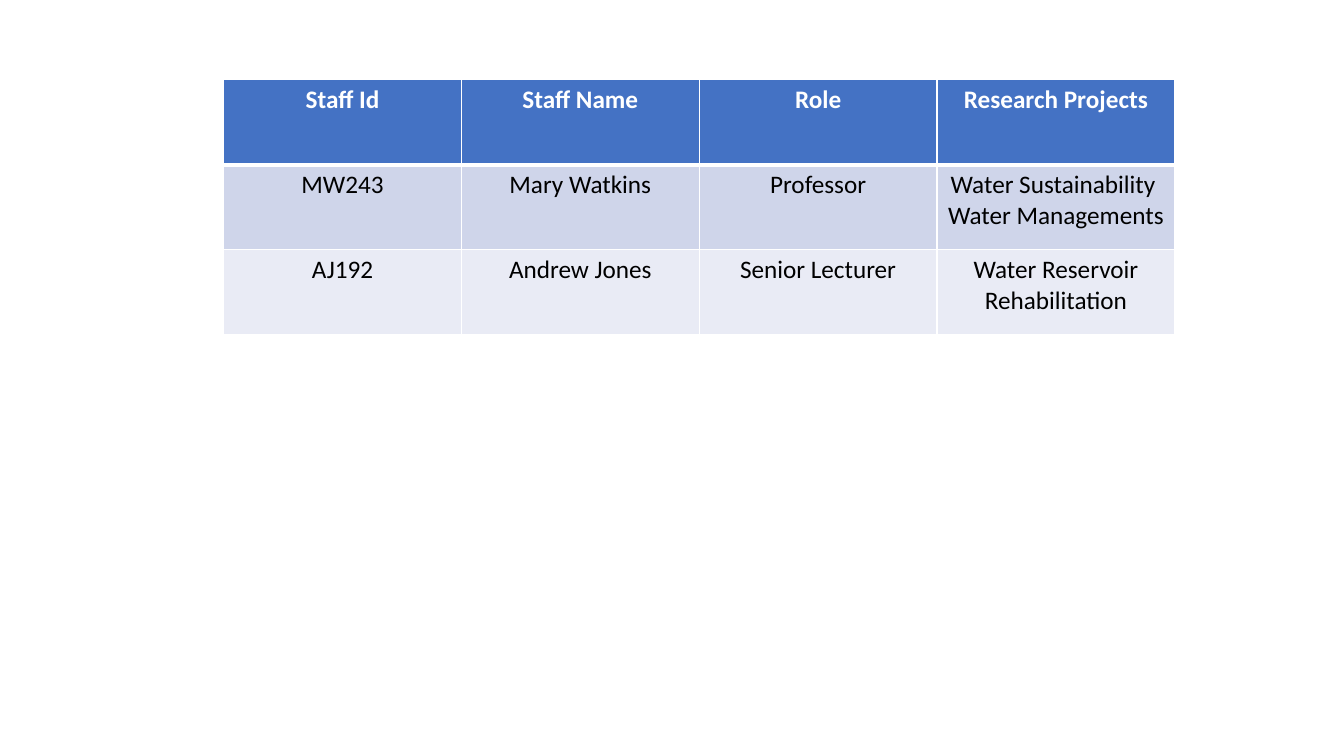
from lxml import etree
from pptx import Presentation
from pptx.dml.color import RGBColor
from pptx.enum.text import PP_ALIGN
from pptx.oxml.ns import qn
from pptx.util import Pt

CENTER = PP_ALIGN.CENTER
EMU_PER_PX = 9525
BLANK_LAYOUT = 6

WHITE, BLACK, BLUE = "FFFFFF", "000000", "4472C4"
BANDS = ["CFD5EA", "E9EBF5"]

STAFF_ROWS = [
    ["Staff Id", "Staff Name", "Role", "Research Projects"],
    ["MW243", "Mary Watkins", "Professor", "Water Sustainability \nWater Managements"],
    ["AJ192", "Andrew Jones", "Senior Lecturer", "Water Reservoir Rehabilitation"],
]


def px(length):
    return int(length * EMU_PER_PX)


def color(hex_code):
    return RGBColor.from_string(hex_code)


def add_border(cell, side, points):
    """Draw a white line on one side (L, R, T or B) of a cell."""
    line = etree.SubElement(cell._tc.get_or_add_tcPr(), qn(f"a:ln{side}"), w=str(Pt(points)))
    fill = etree.SubElement(line, qn("a:solidFill"))
    etree.SubElement(fill, qn("a:srgbClr"), val=WHITE)


def format_cell(cell, text, fill, font_color, bold, top_width, bottom_width):
    for side, points in zip("LRTB", (1, 1, top_width, bottom_width)):
        add_border(cell, side, points)
    cell.fill.solid()
    cell.fill.fore_color.rgb = color(fill)
    cell.text = text
    for para in cell.text_frame.paragraphs:
        para.alignment = CENTER
        para.font.name = "Calibri"
        para.font.size = Pt(18)
        para.font.bold = bold
        para.font.color.rgb = color(font_color)


def add_staff_table(page, left, top, width, height):
    frame = page.shapes.add_table(
        len(STAFF_ROWS), len(STAFF_ROWS[0]), px(left), px(top), px(width), px(height)
    )
    for row_index, texts in enumerate(STAFF_ROWS):
        header = row_index == 0
        fill = BLUE if header else BANDS[(row_index - 1) % 2]
        font_color = WHITE if header else BLACK
        top_width = 3 if row_index == 1 else 1
        bottom_width = 3 if header else 1
        for column_index, text in enumerate(texts):
            cell = frame.table.cell(row_index, column_index)
            format_cell(cell, text, fill, font_color, header, top_width, bottom_width)


def main():
    deck = Presentation()
    deck.slide_width, deck.slide_height = px(1280), px(720)
    page = deck.slides.add_slide(deck.slide_layouts[BLANK_LAYOUT])
    add_staff_table(page, 213, 76, 906, 243)
    deck.save("out.pptx")


if __name__ == "__main__":
    main()
